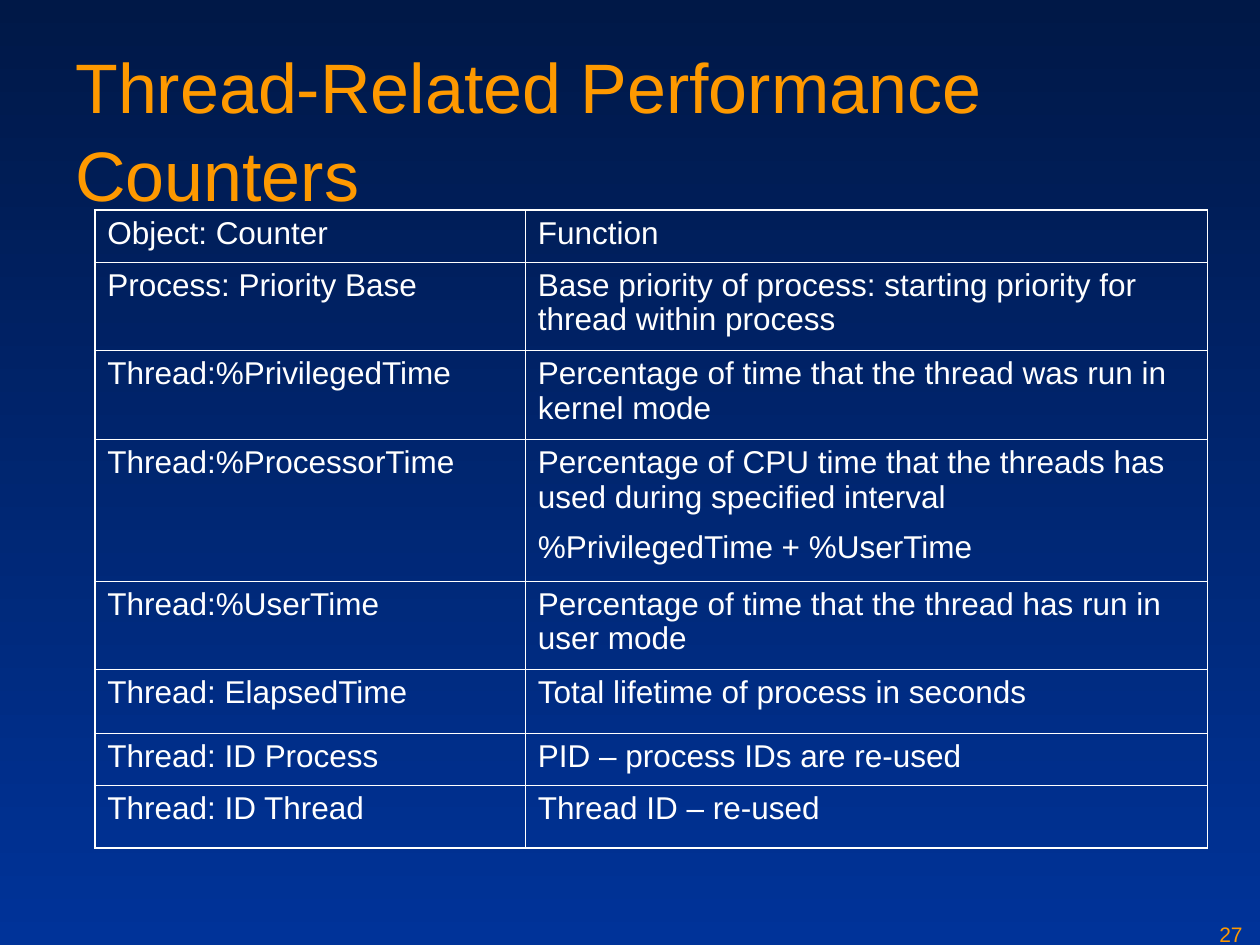
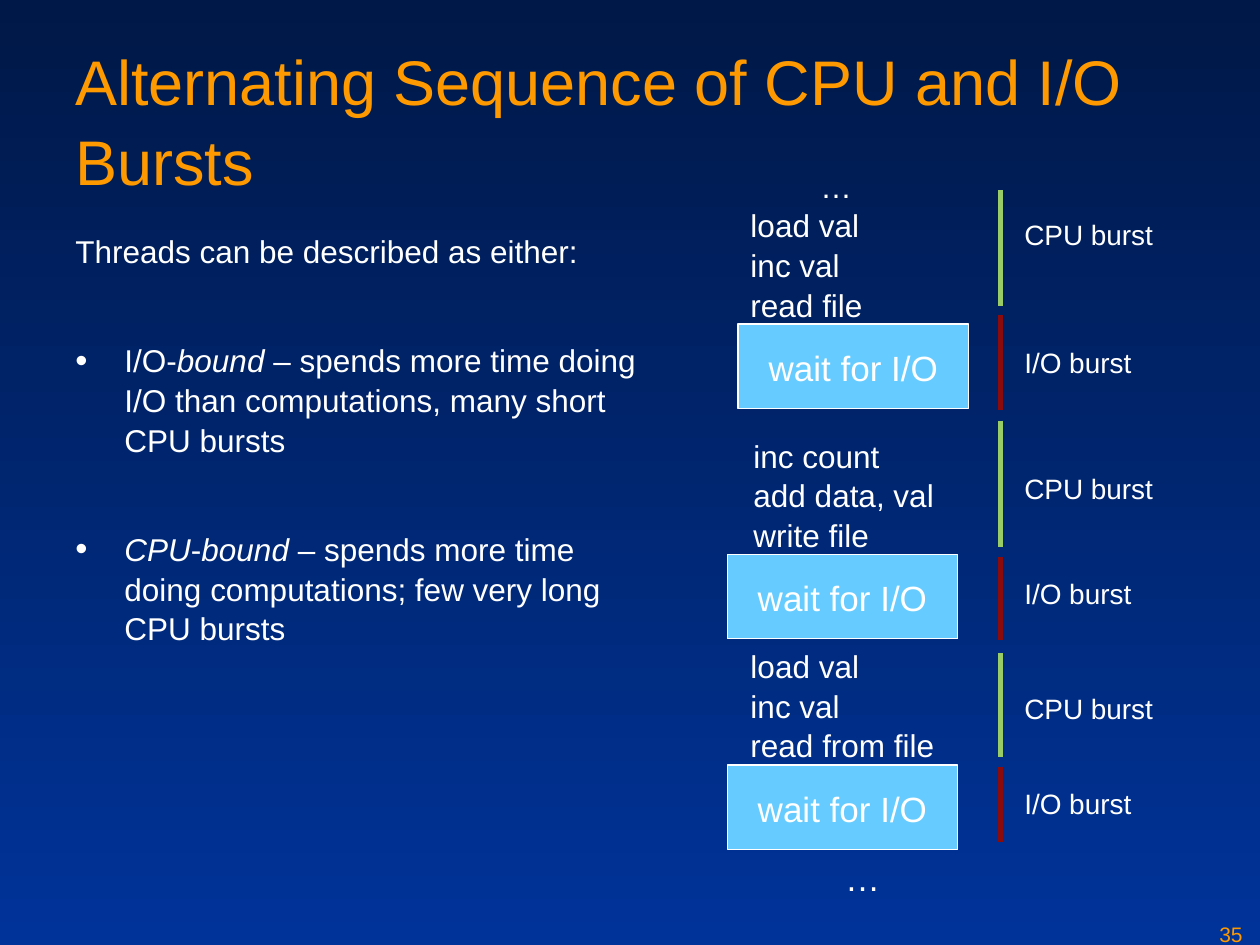
import pptx
import pptx.dml.color
import pptx.enum.shapes
import pptx.enum.text
import pptx.oxml.ns
import pptx.util
from lxml import etree

Cm = pptx.util.Cm
Pt = pptx.util.Pt
qn = pptx.oxml.ns.qn

ORANGE = "FE9900"
WHITE = "FFFFFF"
SKY = "66CCFF"
GREEN = "99CC66"
RED = "8B0A0B"
SHADES = ("001847", "003399")


def color(code):
    return pptx.dml.color.RGBColor.from_string(code)


def node(parent, tag, **attrs):
    return etree.SubElement(parent, qn(tag), attrs)


class Deck:
    """Holds the shared style and the slide being built."""

    font = "Arial"
    space = 1.05

    def __init__(self):
        self.show = pptx.Presentation()
        self.show.slide_width, self.show.slide_height = Cm(25.4), Cm(19.05)
        fill = self.show.slide_master.background.fill
        fill.gradient()
        fill.gradient_angle = 270
        for stop, shade in zip(fill.gradient_stops, SHADES):
            stop.color.rgb = color(shade)

    def start(self, title, size, number):
        self.slide = self.show.slides.add_slide(self.show.slide_layouts[6])
        self.text(1.27, 0.66, 22.86, 3.18, [title], size, ORANGE)
        self.text(24.33, 18.42, 1.07, 0.64, [number], 12, ORANGE)

    def style(self, para, size, hue=WHITE, space=space):
        para.line_spacing = space
        for run in para.runs:
            run.font.name = self.font
            run.font.size = Pt(size)
            run.font.color.rgb = color(hue)

    def put(self, frame, lines, size, hue=WHITE, space=space, gap=0):
        """Fill a frame with one paragraph a line, gap points apart."""
        frame.text = "\n".join(lines)
        for index, para in enumerate(frame.paragraphs):
            self.style(para, size, hue, space)
            if index and gap:
                para.space_before = Pt(gap)

    def text(self, left, top, width, height, lines, size, hue=WHITE):
        box = self.slide.shapes.add_textbox(Cm(left), Cm(top), Cm(width), Cm(height))
        box.text_frame.word_wrap = True
        self.put(box.text_frame, lines, size, hue)
        return box.text_frame

    def bullets(self, left, top, width, height, intro, points, size, gap):
        """Place an intro and bullets; words between stars are italic."""
        frame = self.text(left, top, width, height, [intro], size)
        for point in points:
            para = frame.add_paragraph()
            for index, part in enumerate(point.split("*")):
                if part:
                    run = para.add_run()
                    run.text = part
                    run.font.italic = index % 2 == 1
            props = para._p.get_or_add_pPr()
            props.set("marL", str(Cm(0.99)))
            props.set("indent", str(-Cm(0.99)))
            node(node(props, "a:buClr"), "a:srgbClr", val=WHITE)
            node(props, "a:buSzPct", val="110000")
            node(props, "a:buFont", typeface=self.font)
            node(props, "a:buChar", char="•")
            para.space_before = Pt(gap)
            self.style(para, size)

    def block(self, left, top, width, height, label, size):
        kind = pptx.enum.shapes.MSO_SHAPE.RECTANGLE
        box = self.slide.shapes.add_shape(kind, Cm(left), Cm(top), Cm(width), Cm(height))
        box.shadow.inherit = False
        box.fill.solid()
        box.fill.fore_color.rgb = color(SKY)
        box.line.color.rgb = color(WHITE)
        box.line.width = Pt(0.75)
        box.text_frame.vertical_anchor = pptx.enum.text.MSO_ANCHOR.MIDDLE
        self.put(box.text_frame, [label], size)
        box.text_frame.paragraphs[0].alignment = pptx.enum.text.PP_ALIGN.CENTER

    def bar(self, left, top, bottom, hue):
        kind = pptx.enum.shapes.MSO_CONNECTOR.STRAIGHT
        line = self.slide.shapes.add_connector(kind, Cm(left), Cm(top), Cm(left), Cm(bottom))
        line.line.color.rgb = color(hue)
        line.line.width = Pt(3)
        node(line._element.spPr, "a:effectLst")

    def edge(self, cell, outer):
        """Draw the cell's borders, thicker where they are on the outside."""
        props = cell._tc.get_or_add_tcPr()
        for side, thick in zip("LRTB", outer):
            width = Pt(1.08 if thick else 0.45)
            line = node(props, f"a:ln{side}", w=str(width))
            node(node(line, "a:solidFill"), "a:srgbClr", val=WHITE)

    def table(self, left, top, widths, heights, rows, size):
        frame = self.slide.shapes.add_table(
            len(rows), len(widths), Cm(left), Cm(top), Cm(sum(widths)), Cm(sum(heights)))
        grid = frame.table
        grid.first_row = grid.horz_banding = False
        for col, width in zip(grid.columns, widths):
            col.width = Cm(width)
        for r, (height, row) in enumerate(zip(heights, rows)):
            grid.rows[r].height = Cm(height)
            for c, words in enumerate(row):
                cell = grid.cell(r, c)
                self.edge(cell, (c == 0, c == len(widths) - 1, r == 0, r == len(rows) - 1))
                cell.fill.background()
                self.put(cell.text_frame, words.split("\n"), size, space=0.98, gap=9)


def count(deck):
    deck.start("Thread-Related Performance Counters", 40, "27")
    rows = [
        ("Object: Counter", "Function"),
        ("Process: Priority Base",
         "Base priority of process: starting priority for thread within process"),
        ("Thread:%PrivilegedTime",
         "Percentage of time that the thread was run in kernel mode"),
        ("Thread:%ProcessorTime",
         "Percentage of CPU time that the threads has used during specified interval\n"
         "%PrivilegedTime + %UserTime"),
        ("Thread:%UserTime",
         "Percentage of time that the thread has run in user mode"),
        ("Thread: ElapsedTime", "Total lifetime of process in seconds"),
        ("Thread: ID Process", "PID – process IDs are re-used"),
        ("Thread: ID Thread", "Thread ID – re-used"),
    ]
    heights = (1.05, 1.78, 1.79, 2.86, 1.78, 1.28, 1.05, 1.27)
    deck.table(1.91, 4.24, (8.68, 13.75), heights, rows, 18)


def burst(deck):
    deck.start("Alternating Sequence of CPU and I/O Bursts", 36, "35")
    points = [
        "I/O-*bound *– spends more time doing I/O than computations, many short CPU bursts",
        "*CPU*-*bound *– spends more time doing computations; few very long CPU bursts",
    ]
    deck.bullets(1.27, 4.52, 12.27, 11.38,
                 "Threads can be described as either:", points, 18, 39.7)

    steps = [
        (14.88, 3.2, 3.3, ["…", "load val", "inc val", "read file"]),
        (14.94, 8.64, 2.54, ["inc count", "add data, val", "write file"]),
        (14.88, 12.88, 2.54, ["load val", "inc val", "read from file"]),
    ]
    frames = [deck.text(left, top, 4.8, height, lines, 18)
              for left, top, height, lines in steps]
    frames[0].paragraphs[0]._p.get_or_add_pPr().set("marL", str(Pt(40)))
    for left, top in ((14.88, 6.53), (14.66, 11.18), (14.66, 15.42)):
        deck.block(left, top, 4.65, 1.7, "wait for I/O", 20)
    deck.text(16.79, 17.09, 1.4, 1.12, ["…"], 20)

    bursts = [
        ("CPU", 3.84, 6.17, 4.22),
        ("I/O", 6.35, 8.26, 6.81),
        ("CPU", 8.48, 11.02, 9.35),
        ("I/O", 11.23, 12.9, 11.46),
        ("CPU", 13.16, 15.27, 13.79),
        ("I/O", 15.47, 16.97, 15.7),
    ]
    hues = {"CPU": GREEN, "I/O": RED}
    for kind, top, bottom, place in bursts:
        deck.bar(20.17, top, bottom, hues[kind])
        deck.text(20.4, place, 3.4, 0.94, [f"{kind} burst"], 16)


def main():
    deck = Deck()
    count(deck)
    burst(deck)
    deck.show.save("out.pptx")


if __name__ == "__main__":
    main()
